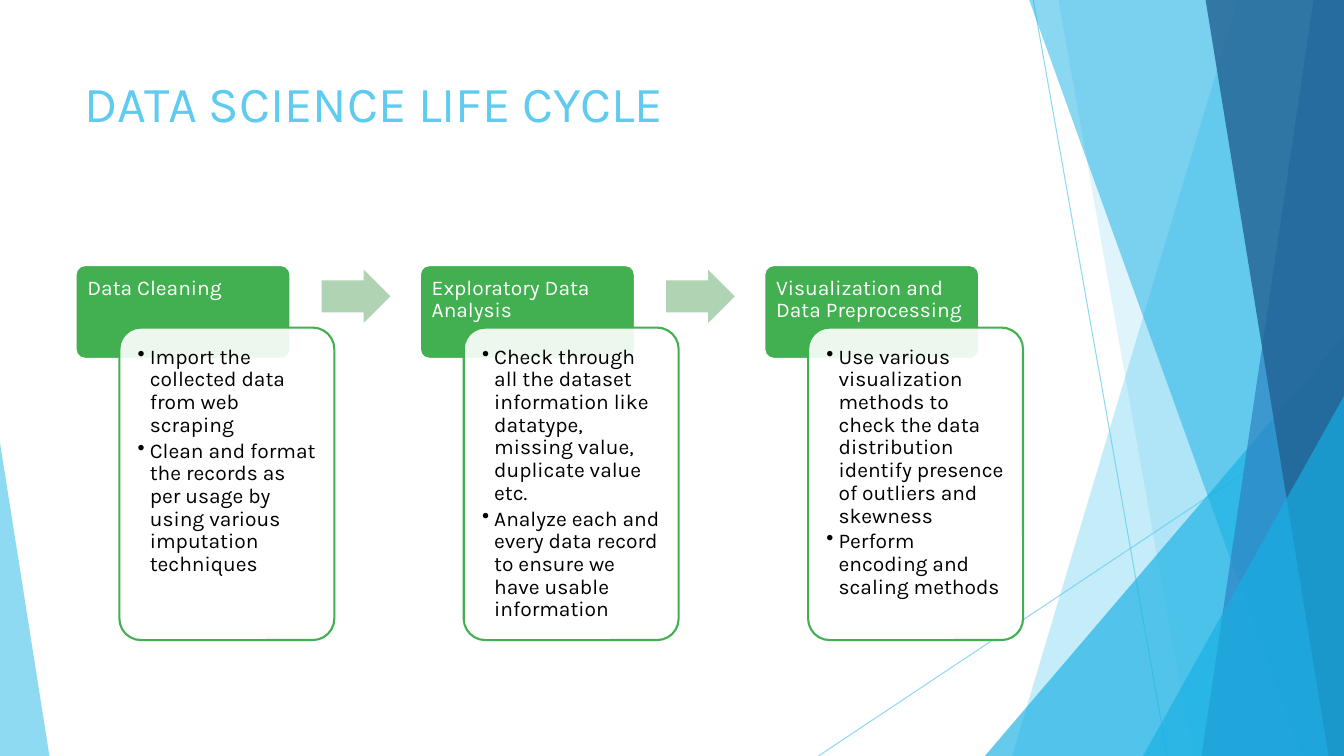
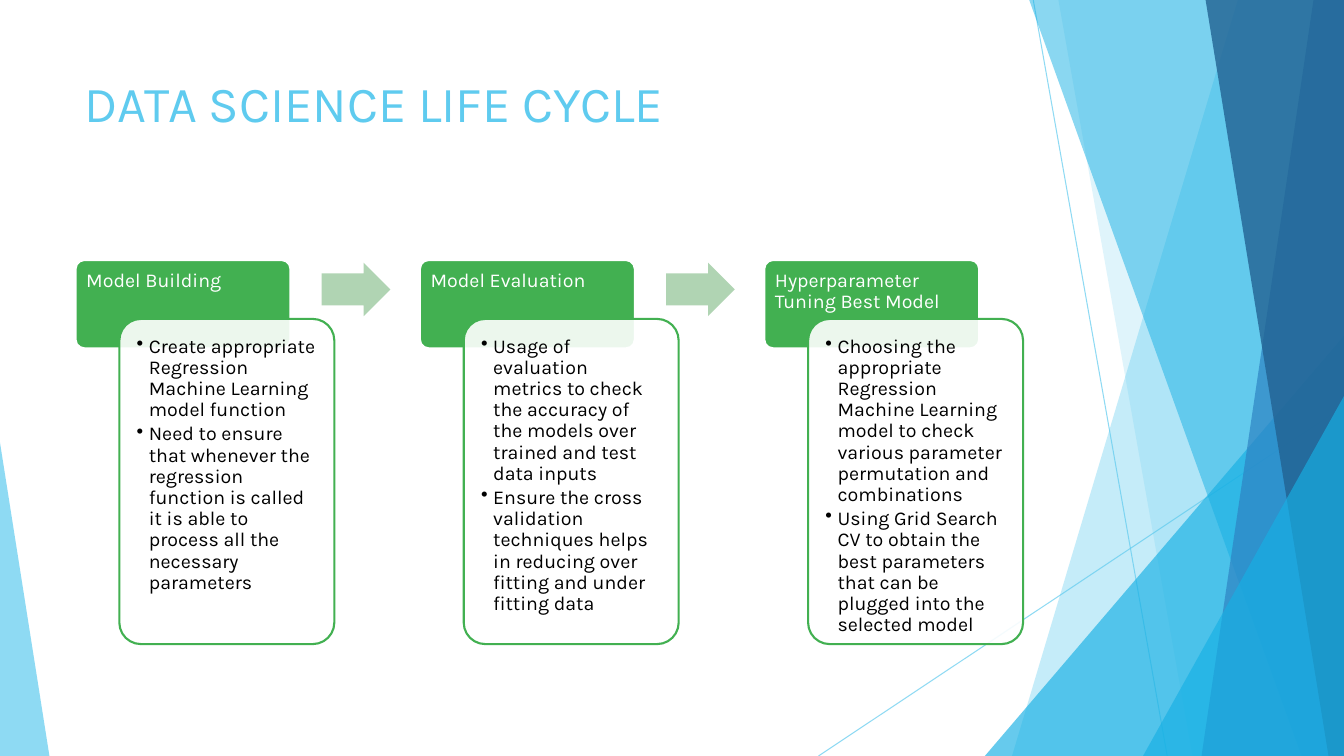
from lxml import etree
from pptx import Presentation, util as u
from pptx.dml.color import RGBColor
from pptx.enum import shapes, text
from pptx.oxml.ns import qn

FONT = "Karla"
TITLE = "DATA SCIENCE LIFE CYCLE"
COLORS = {
    "sky": "5FCBEF", "cyan": "17B0E4", "blue": "2E83C3", "navy": "226292",
    "green": "42B051", "pale": "B0D4B3", "white": "FFFFFF", "black": "000000",
}
TITLE_BOX = (5.55, 8.93, 70.5, 19.2)
RAYS = [(76.88, 0, 86.85, 100), (100, 53.73, 60.9, 100)]
FACETS = [
    ("slab", (92.1, 75.3), "sky", 36),
    ("slab", (78.75, 88.73), "sky", 20),
    ("wedge", (73.28, 44.4, 26.72, 55.6, 1), "cyan", 66),
    ("slab", (76.58, 96.83), "cyan", 50),
    ("slab", (97.73, 89.4), "blue", 70),
    ("slab", (89.7, 98.85), "navy", 80),
    ("wedge", (85.05, 52.4, 14.95, 47.6, 1), "cyan", 66),
    ("wedge", (0, 58.53, 3.68, 41.47, 0), "sky", 70),
]
PAGES = [
    {"box": (5.62, 35.07, 70.46, 49.6), "header": 0.25, "size": 15, "inset": 0.12, "steps": [
        ("Data Cleaning", [
            "Import the collected data from web scraping",
            "Clean and format the records as per usage by using various imputation techniques"]),
        ("Exploratory Data Analysis", [
            "Check through all the dataset information like datatype, missing value, "
            "duplicate value etc.",
            "Analyze each and every data record to ensure we have usable information"]),
        ("Visualization and Data Preprocessing", [
            "Use various visualization methods to check the data distribution identify "
            "presence of outliers and skewness",
            "Perform encoding and scaling methods"]),
    ]},
    {"box": (5.62, 34.4, 70.46, 50.8), "header": 0.23, "size": 14, "inset": 0.11, "steps": [
        ("Model Building", [
            "Create appropriate Regression Machine Learning model function",
            "Need to ensure that whenever the regression function is called it is able to "
            "process all the necessary parameters"]),
        ("Model Evaluation", [
            "Usage of evaluation metrics to check the accuracy of the models over trained "
            "and test data inputs",
            "Ensure the cross validation techniques helps in reducing over fitting and "
            "under fitting data"]),
        ("Hyperparameter Tuning Best Model", [
            "Choosing the appropriate Regression Machine Learning model to check various "
            "parameter permutation and combinations",
            "Using Grid Search CV to obtain the best parameters that can be plugged into "
            "the selected model"]),
    ]},
]


def place(deck, box):
    """Turn percentages of the slide into left, top, width and height."""
    sides = (deck.slide_width, deck.slide_height) * 2
    return [u.Emu(round(side * share / 100)) for side, share in zip(sides, box)]


def set_alpha(element, percent):
    """Make the first plain colour within an element partly transparent."""
    color = next(element.iter(qn("a:srgbClr")))
    etree.SubElement(color, qn("a:alpha")).set("val", str(percent * 1000))


def paint(shape, fill, alpha=100, line=None):
    """Give a shape its fill and outline, without a shadow."""
    shape.shadow.inherit = False
    shape.fill.solid()
    shape.fill.fore_color.rgb = RGBColor.from_string(COLORS[fill])
    if alpha < 100:
        set_alpha(shape._element.spPr, alpha)
    if line:
        shape.line.color.rgb = RGBColor.from_string(COLORS[line])
        shape.line.width = u.Pt(1.5)
    else:
        shape.line.fill.background()


def write(frame, lines, size, color, insets, bullets=False):
    """Fill a text frame with left-aligned lines that start at its top."""
    frame.text = "\n".join(lines)
    frame.word_wrap = True
    frame.vertical_anchor = text.MSO_ANCHOR.TOP
    frame.margin_left, frame.margin_top, frame.margin_right, frame.margin_bottom = map(
        u.Inches, insets)
    for para in frame.paragraphs:
        para.alignment = text.PP_ALIGN.LEFT
        for span in para.runs:
            span.font.name = FONT
            span.font.size = u.Pt(size)
            span.font.color.rgb = RGBColor.from_string(COLORS[color])
        if bullets:
            para.space_after = u.Pt(size * 0.15)
            properties = para._p.get_or_add_pPr()
            properties.set("marL", str(u.Inches(0.12)))
            properties.set("indent", str(-u.Inches(0.12)))
            etree.SubElement(properties, qn("a:buChar")).set("char", "•")


def add_ray(deck, page, ends):
    """Draw one thin translucent line across the slide."""
    ray = page.shapes.add_connector(shapes.MSO_CONNECTOR.STRAIGHT, *place(deck, ends))
    ray.line.color.rgb = RGBColor.from_string(COLORS["sky"])
    ray.line.width = u.Pt(0.75)
    set_alpha(ray._element.spPr, 70)
    etree.SubElement(ray._element.spPr, qn("a:effectLst"))
    return ray


def add_facet(deck, page, kind, geometry, color, alpha):
    """Draw a slab reaching the right edge, or a right-angled wedge."""
    if kind == "slab":
        top, bottom = geometry
        corners = [place(deck, point) for point in
                   [(top, 0), (100, 0), (100, 100), (bottom, 100)]]
        builder = page.shapes.build_freeform(*corners[0])
        builder.add_line_segments(corners[1:], close=True)
        facet = builder.convert_to_shape()
    else:
        facet = page.shapes.add_shape(
            shapes.MSO_SHAPE.ISOSCELES_TRIANGLE, *place(deck, geometry[:4]))
        facet.adjustments[0] = geometry[4]
    paint(facet, color, alpha)
    return facet


def dress_layout(deck, layout, page):
    """Draw the shared ornament, then move it behind the layout's placeholders."""
    ornament = [add_ray(deck, page, ends) for ends in RAYS]
    ornament += [add_facet(deck, page, *facet) for facet in FACETS]
    for index, part in enumerate(ornament):
        part._element.xpath(".//p:cNvPr")[0].set("id", str(100 + index))
        layout.shapes._spTree.insert(2 + index, part._element)
    title = layout.placeholders[0]
    title.left, title.top, title.width, title.height = place(deck, TITLE_BOX)


def add_box(page, left, top, width, height):
    """Add a rounded box with the corner radius that all steps share."""
    box = page.shapes.add_shape(
        shapes.MSO_SHAPE.ROUNDED_RECTANGLE, *map(round, (left, top, width, height)))
    box.adjustments[0] = 0.1
    return box


def add_flow(page, area, steps, header, size, inset):
    """Lay out the steps as overlapping header and card pairs joined by arrows."""
    left, top, width, height = area
    pitch, box_width, shift = width * 4 / 11, width * 0.227, width * 0.0463
    header_height = height * header
    visible = header_height * 2 / 3
    arrow_width, arrow_height = width * 0.0725, width * 0.0565
    side = inset - 0.03
    for index, (name, points) in enumerate(steps):
        start = left + index * pitch
        if index:
            arrow = page.shapes.add_shape(
                shapes.MSO_SHAPE.RIGHT_ARROW,
                *map(round, (start - pitch + width * 0.26, top + (visible - arrow_height) / 2,
                             arrow_width, arrow_height)))
            arrow.adjustments[0] = 0.6
            paint(arrow, "pale")
        head = add_box(page, start, top, box_width, header_height)
        paint(head, "green", line="white")
        write(head.text_frame, [name], size, "white", (side, side, side, 0))
        card = add_box(page, start + shift, top + visible, box_width, height - visible)
        paint(card, "white", 90, "green")
        write(card.text_frame, points, size, "black", [inset] * 4, bullets=True)
        for para in [*head.text_frame.paragraphs, *card.text_frame.paragraphs]:
            para.line_spacing = 0.9


def main():
    """Build the deck and save it."""
    deck = Presentation()
    deck.slide_width, deck.slide_height = u.Inches(13.33), u.Inches(7.5)
    layout = deck.slide_layouts[5]
    pages = [deck.slides.add_slide(layout) for content in PAGES]
    dress_layout(deck, layout, pages[0])
    for page, content in zip(pages, PAGES):
        write(page.shapes.title.text_frame, [TITLE], 36, "sky", (0.1, 0.05, 0.1, 0.05))
        add_flow(page, place(deck, content["box"]), content["steps"],
                 content["header"], content["size"], content["inset"])
    deck.save("out.pptx")


if __name__ == "__main__":
    main()
